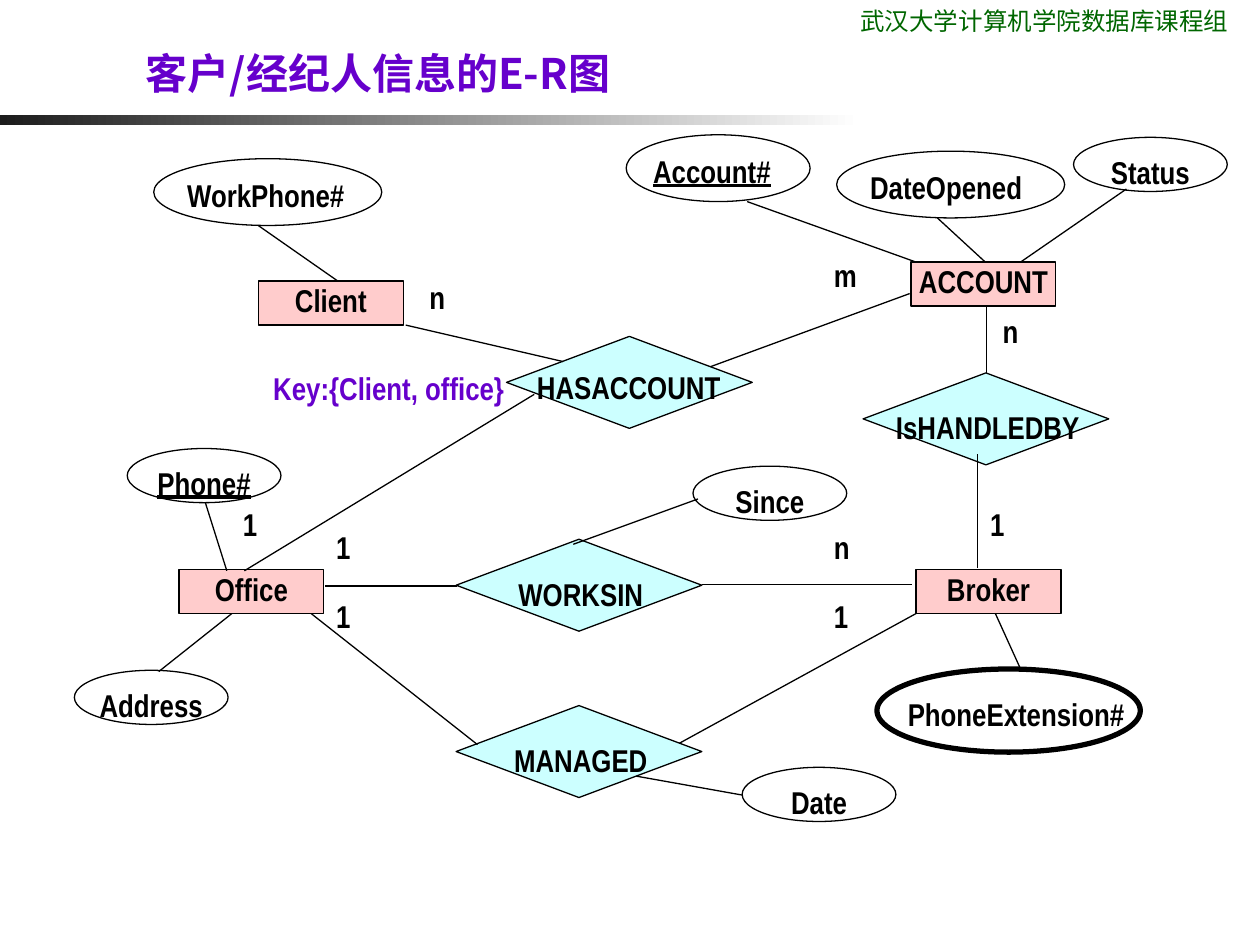
"""Build the entity-relationship diagram slide for clients and brokers."""
from dataclasses import dataclass

from lxml.etree import SubElement
from pptx import Presentation
from pptx.dml.color import RGBColor
from pptx.enum.shapes import MSO_CONNECTOR, MSO_SHAPE
from pptx.enum.text import MSO_ANCHOR, PP_ALIGN
from pptx.oxml.ns import qn
from pptx.util import Inches, Pt


@dataclass(frozen=True)
class Theme:
    black: str = "000000"
    white: str = "FFFFFF"
    purple: str = "6600CC"
    green: str = "006600"
    dark: str = "1C1C1C"
    entity: str = "FFCCCC"
    relation: str = "CCFFFF"
    body_font: str = "Arial Narrow"
    title_font: str = "Noto Sans CJK SC"
    header_font: str = "Lato"
    body_size: int = 18
    title_size: int = 24
    header_size: int = 14
    line: float = 0.75
    thick_line: float = 3


THEME = Theme()
LEFT, CENTER, JUSTIFY = PP_ALIGN.LEFT, PP_ALIGN.CENTER, PP_ALIGN.JUSTIFY

ENTITIES = [
    ("Client", 2.05, 2.23),
    ("ACCOUNT", 7.23, 2.08),
    ("Office", 1.42, 4.52),
    ("Broker", 7.27, 4.52),
]
RELATIONS = [
    ("HASACCOUNT", 4.02, 2.67, 0.24, 0.19),
    ("IsHANDLEDBY", 6.85, 2.96, 0.26, 0.22),
    ("WORKSIN", 3.62, 4.28, 0.26, 0.22),
    ("MANAGED", 3.62, 5.6, 0.26, 0.22),
]
WIDE_ATTRIBUTES = [
    ("WorkPhone#", 1.22, 1.26, 1.81),
    ("Account#", 4.97, 1.07, 1.46),
    ("DateOpened", 6.64, 1.2, 1.81),
]
SMALL_ATTRIBUTES = [
    ("Status", 8.52, 1.09),
    ("Phone#", 1.01, 3.56),
    ("Address", 0.59, 5.32),
    ("Since", 5.5, 3.7),
    ("Date", 5.89, 6.09),
]
KEYS = {"Account#", "Phone#"}
LINKS = [
    (2.05, 1.79, 2.68, 2.23),
    (3.22, 2.58, 4.47, 2.87),
    (8.94, 1.5, 8.1, 2.08),
    (7.44, 1.73, 7.82, 2.08),
    (5.93, 1.6, 7.27, 2.08),
    (7.83, 2.43, 7.83, 2.96),
    (7.22, 2.33, 5.64, 2.91),
    (4.24, 3.13, 1.94, 4.53),
    (1.63, 3.99, 1.8, 4.53),
    (1.84, 4.87, 1.26, 5.33),
    (2.47, 4.87, 3.79, 5.91),
    (2.58, 4.65, 3.63, 4.65),
    (5.57, 4.64, 7.24, 4.64),
    (7.9, 4.87, 8.1, 5.31),
    (7.27, 4.87, 5.39, 5.9),
    (5.05, 6.16, 5.89, 6.31),
    (7.76, 4.51, 7.76, 3.6),
    (4.55, 4.32, 5.54, 3.96),
]
CARDINALITIES = [
    ("n", 7.86, 2.43),
    ("n", 6.52, 4.14),
    ("1", 2.57, 4.69),
    ("1", 6.52, 4.69),
    ("1", 2.57, 4.14),
    ("1", 1.83, 3.96),
    ("1", 7.76, 3.96),
    ("m", 6.52, 1.98),
    ("n", 3.31, 2.16),
]


def rgb(value):
    return RGBColor.from_string(value)


def write(sp, text, align=CENTER, spacing=None, inset=(0, 0), anchor=MSO_ANCHOR.TOP,
          color=THEME.black, font=THEME.body_font, size=THEME.body_size, bold=True):
    tf = sp.text_frame
    tf.word_wrap = True
    tf.vertical_anchor = anchor
    tf.margin_left = tf.margin_right = Inches(inset[0])
    tf.margin_top = tf.margin_bottom = Inches(inset[1])
    p = tf.paragraphs[0]
    p.alignment = align
    if spacing:
        p.line_spacing = spacing
    r = p.add_run()
    r.text = text
    r.font.name, r.font.size, r.font.bold = font, Pt(size), bold
    r.font.color.rgb = rgb(color)
    if text in KEYS:
        r.font.underline = True
    SubElement(r.font._element, qn("a:ea")).set("typeface", font)


def add_figure(s, kind, box, fill, line=THEME.line):
    sp = s.shapes.add_shape(kind, *map(Inches, box))
    sp.shadow.inherit = False
    sp.fill.solid()
    sp.fill.fore_color.rgb = rgb(fill)
    sp.line.color.rgb = rgb(THEME.black)
    sp.line.width = Pt(line)
    return sp


def add_text(s, box, text, **style):
    write(s.shapes.add_textbox(*map(Inches, box)), text, **style)


def add_note(s, box, text, **style):
    add_text(s, box, text, inset=(0.1, 0.05), **style)


def add_entity(s, name, x, y):
    write(add_figure(s, MSO_SHAPE.RECTANGLE, (x, y, 1.15, 0.35), THEME.entity), name)


def add_relation(s, name, x, y, dx, dy):
    add_figure(s, MSO_SHAPE.DIAMOND, (x, y, 1.95, 0.73), THEME.relation)
    add_text(s, (x + dx, y + dy, 1.46, 0.29), name, spacing=1.2)


def add_attribute(s, name, x, y, w=1.22, h=0.43, align=CENTER):
    sp = add_figure(s, MSO_SHAPE.OVAL, (x, y, w, h), THEME.white)
    write(sp, name, align, 1.2)


def add_link(s, *ends):
    line = s.shapes.add_connector(MSO_CONNECTOR.STRAIGHT, *map(Inches, ends))
    line.line.color.rgb = rgb(THEME.black)
    line.line.width = Pt(THEME.line)
    SubElement(line._element.spPr, qn("a:effectLst"))


def add_heading(s):
    bar = add_figure(s, MSO_SHAPE.RECTANGLE, (0, 0.91, 6.83, 0.08), THEME.dark)
    bar.line.fill.background()
    bar.fill.gradient()
    bar.fill.gradient_angle = 0
    for stop, color in zip(bar.fill.gradient_stops, (THEME.dark, THEME.white)):
        stop.color.rgb = rgb(color)
    add_note(s, (6.73, 0, 3.27, 0.34), "武汉大学计算机学院数据库课程组", align=LEFT,
             color=THEME.green, font=THEME.header_font, size=THEME.header_size, bold=False)
    add_note(s, (1.06, 0, 7.58, 0.83), "客户/经纪人信息的E-R图", align=LEFT,
             anchor=MSO_ANCHOR.BOTTOM, color=THEME.purple, font=THEME.title_font,
             size=THEME.title_size)


def main():
    prs = Presentation()
    prs.slide_width, prs.slide_height = Inches(10), Inches(7.5)
    s = prs.slides.add_slide(prs.slide_layouts[6])
    add_heading(s)
    for entity in ENTITIES:
        add_entity(s, *entity)
    for relation in RELATIONS:
        add_relation(s, *relation)
    for attribute in WIDE_ATTRIBUTES:
        add_attribute(s, *attribute, h=0.53, align=JUSTIFY)
    for attribute in SMALL_ATTRIBUTES:
        add_attribute(s, *attribute)
    add_figure(s, MSO_SHAPE.OVAL, (6.96, 5.31, 2.09, 0.66), THEME.white, THEME.thick_line)
    add_text(s, (7.08, 5.46, 1.97, 0.29), "PhoneExtension#", spacing=1.2)
    for link in LINKS:
        add_link(s, *link)
    for mark, x, y in CARDINALITIES:
        add_note(s, (x, y, 0.74, 0.54), mark, align=JUSTIFY)
    add_note(s, (2.07, 2.88, 2.08, 0.45), "Key:{Client, office}", align=JUSTIFY,
             color=THEME.purple)
    prs.save("out.pptx")


if __name__ == "__main__":
    main()
